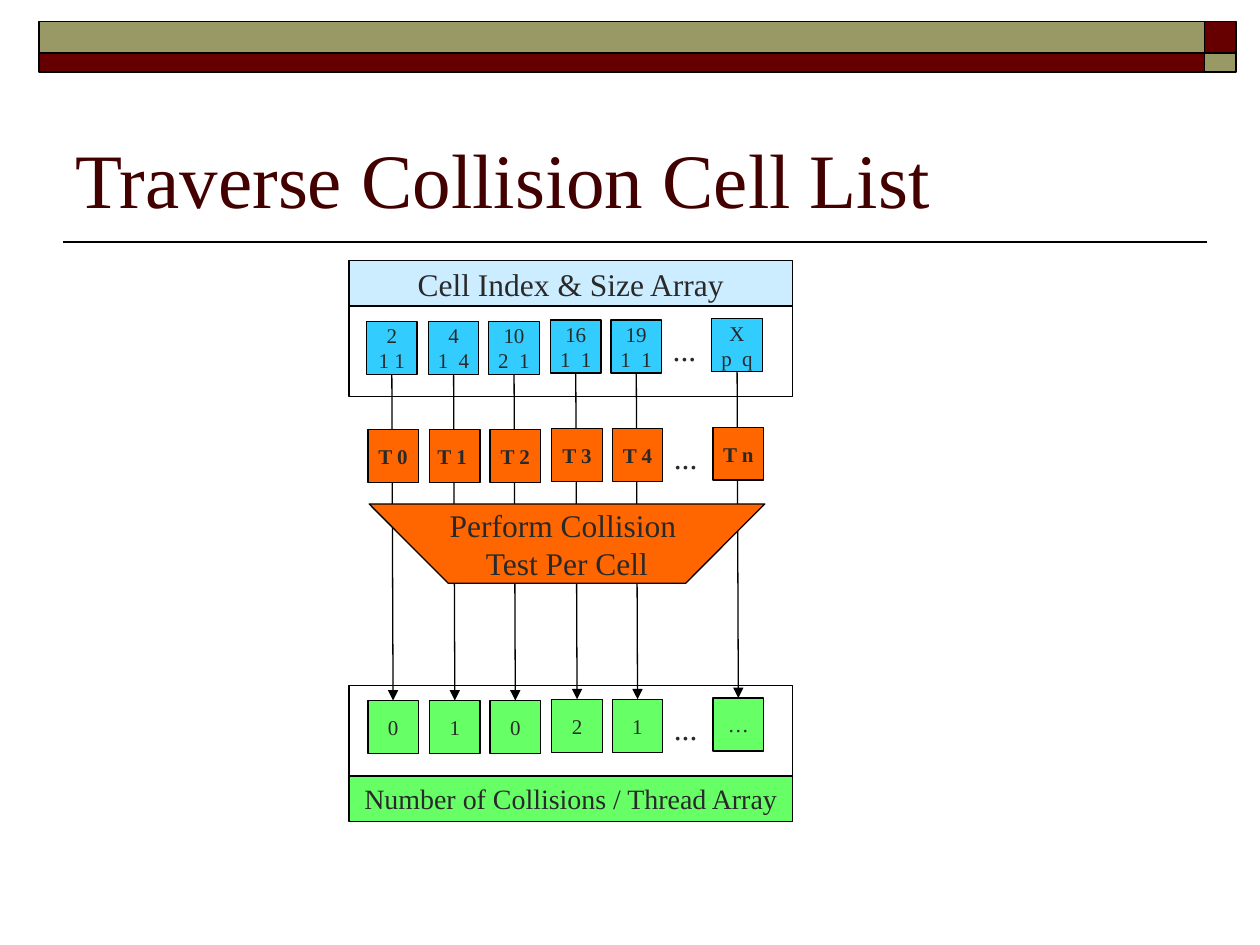
from lxml.etree import SubElement
from pptx import Presentation
from pptx.dml.color import RGBColor
from pptx.enum.shapes import MSO_CONNECTOR as CONNECTOR, MSO_SHAPE as SHAPE
from pptx.enum.text import MSO_ANCHOR as ANCHOR, MSO_AUTO_SIZE as AUTOSIZE, PP_ALIGN as ALIGN
from pptx.oxml.ns import qn
from pptx.util import Inches, Pt

TITLE = "Traverse Collision Cell List"
INDEX_LABEL = "Cell Index & Size Array"
COUNT_LABEL = "Number of Collisions / Thread Array"
TEST_LABEL = "Perform Collision \nTest Per Cell"
CELLS = ["2\n1 1", "4\n1  4", "10\n2  1", "16\n1  1", "19\n1  1", "X\np  q"]
THREADS = ["T 0", "T 1 ", "T 2", "T 3", "T 4", "T n"]
COUNTS = ["0", "1", "0", "2", "1", "…"]

FONT = "Times New Roman"
COLORS = {
    "maroon": "660000", "olive": "999966", "title": "420000", "text": "292929",
    "line": "000000", "header": "CCECFF", "cell": "33CCFF", "thread": "FF6600",
    "count": "66FF66",
}

BAR_LEFT, BAR_TOP, BAR_WIDTH, CORNER_WIDTH = 0.31, 0.17, 9.25, 0.25
BAR_ROWS = [(0.25, "olive", "maroon"), (0.15, "maroon", "olive")]
PANEL_LEFT, PANEL_WIDTH, PANEL_HEIGHT, LABEL_HEIGHT = 2.77, 3.52, 0.72, 0.36
INDEX_TOP, COUNT_TOP = 2.07, 5.44
BOX_WIDTH, BOX_HEIGHT = 0.4, 0.42
BOX_OFFSETS = [0, 0.49, 0.97, 1.46, 1.94, 2.74]
BOX_RISES = [0, 0, 0, 0.01, 0.01, 0.02]
DOTS_OFFSET = 2.33


def rgb(name):
    return RGBColor.from_string(COLORS[name])


def write(shape, text, size=18, color="text", bold=False, align=ALIGN.CENTER,
          anchor=ANCHOR.MIDDLE, wrap=False):
    frame = shape.text_frame
    frame.text = text
    frame.auto_size = AUTOSIZE.NONE
    frame.word_wrap = wrap
    frame.vertical_anchor = anchor
    for paragraph in frame.paragraphs:
        paragraph.alignment = align
        paragraph.font.name = FONT
        paragraph.font.size = Pt(size)
        paragraph.font.bold = bold
        paragraph.font.color.rgb = rgb(color)


def add_block(slide, left, top, width, height, fill=None, kind=SHAPE.RECTANGLE, weight=0.75):
    block = slide.shapes.add_shape(kind, *map(Inches, (left, top, width, height)))
    block.shadow.inherit = False
    if fill:
        block.fill.solid()
        block.fill.fore_color.rgb = rgb(fill)
    else:
        block.fill.background()
    block.line.color.rgb = rgb("line")
    block.line.width = Pt(weight)
    return block


def add_line(slide, start=(0, 0), end=(0, 0), weight=0.75):
    line = slide.shapes.add_connector(CONNECTOR.STRAIGHT, *map(Inches, (*start, *end)))
    line.line.color.rgb = rgb("line")
    line.line.width = Pt(weight)
    SubElement(line._element.spPr, qn("a:effectLst"))
    return line


def add_arrow(slide, source, target):
    arrow = add_line(slide)
    arrow.begin_connect(source, 2)
    arrow.end_connect(target, 0)
    SubElement(arrow.line._get_or_add_ln(), qn("a:tailEnd"), type="triangle")


def add_row(slide, texts, left, top, fill, bold=False):
    boxes = []
    for text, offset, rise in zip(texts, BOX_OFFSETS, BOX_RISES):
        box = add_block(slide, left + offset, top - rise, BOX_WIDTH, BOX_HEIGHT, fill)
        write(box, text, size=12, bold=bold)
        boxes.append(box)
    dots = slide.shapes.add_textbox(
        *map(Inches, (left + DOTS_OFFSET, top + 0.02, 0.39, 0.4)))
    write(dots, "...", align=ALIGN.LEFT, anchor=ANCHOR.TOP, wrap=True)
    return boxes


def add_frame(slide):
    add_line(slide, (0.5, 1.92), (9.58, 1.92), weight=1)
    top = BAR_TOP
    for height, bar, corner in BAR_ROWS:
        add_block(slide, BAR_LEFT, top, BAR_WIDTH, height, bar, weight=1)
        add_block(slide, BAR_LEFT + BAR_WIDTH, top, CORNER_WIDTH, height, corner, weight=1)
        top += height
    title = slide.shapes.title
    title.left, title.top, title.width, title.height = map(Inches, (0.5, 0.58, 9, 1.25))
    write(title, TITLE, size=44, color="title", align=ALIGN.LEFT, anchor=ANCHOR.BOTTOM, wrap=True)


def add_panel(slide, panel_top, label_top, label, fill, size):
    add_block(slide, PANEL_LEFT, panel_top, PANEL_WIDTH, PANEL_HEIGHT)
    header = add_block(slide, PANEL_LEFT, label_top, PANEL_WIDTH, LABEL_HEIGHT, fill)
    write(header, label, size=size)


def main():
    """Build the collision cell list slide."""
    deck = Presentation()
    deck.slide_width, deck.slide_height = Inches(10), Inches(7.5)
    slide = deck.slides.add_slide(deck.slide_layouts[5])
    add_frame(slide)
    add_panel(slide, INDEX_TOP + LABEL_HEIGHT, INDEX_TOP, INDEX_LABEL, "header", 18)
    add_panel(slide, COUNT_TOP, COUNT_TOP + PANEL_HEIGHT, COUNT_LABEL, "count", 16)
    cells = add_row(slide, CELLS, 2.91, 2.55, "cell")
    counts = add_row(slide, COUNTS, 2.92, 5.56, "count")
    for cell, count in zip(cells, counts):
        add_arrow(slide, cell, count)
    add_row(slide, THREADS, 2.92, 3.41, "thread", bold=True)
    test = add_block(slide, 2.93, 4, 3.14, 0.63, "thread", SHAPE.FLOWCHART_MANUAL_OPERATION)
    write(test, TEST_LABEL)
    deck.save("out.pptx")


if __name__ == "__main__":
    main()
